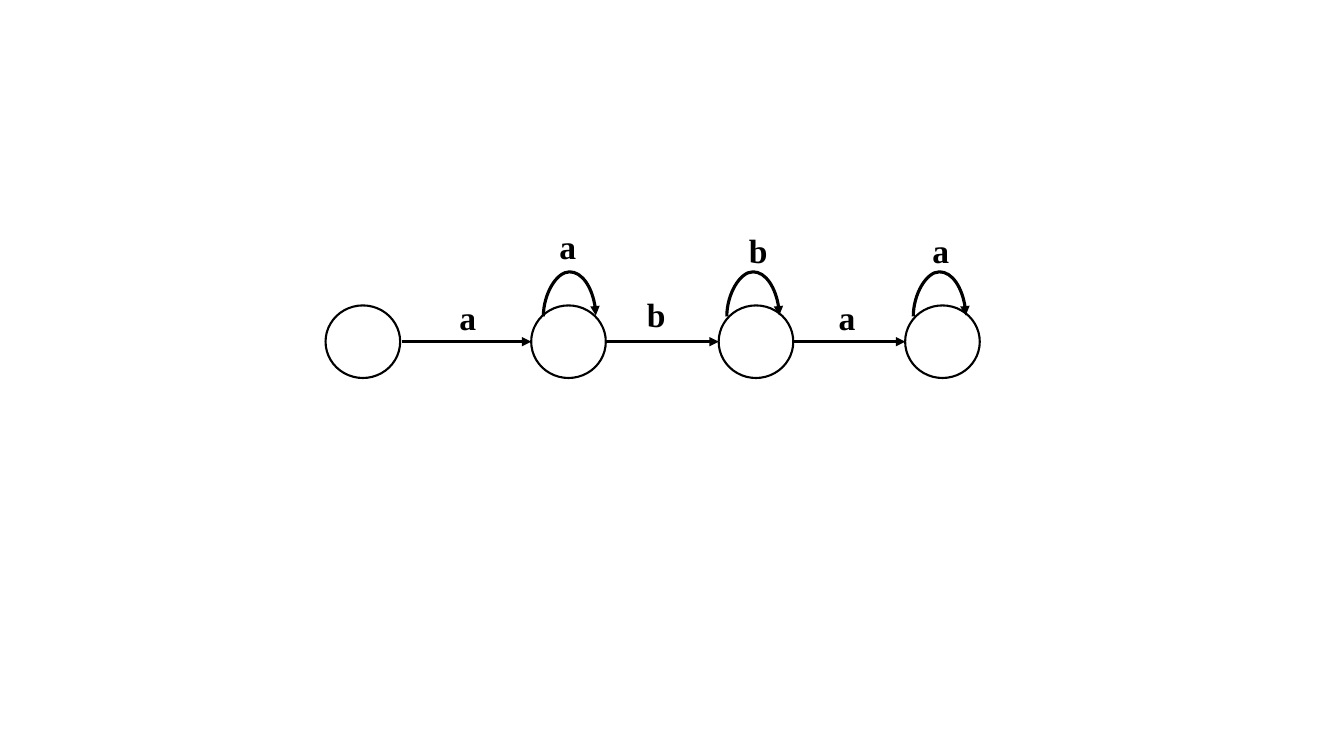
from dataclasses import dataclass

from lxml import etree
from pptx import Presentation
from pptx import util as u
from pptx.dml.color import RGBColor
from pptx.enum import shapes, text
from pptx.oxml import ns

# Grid: square cells of a tenth of an inch
CELL = u.Inches(0.1)
COLUMNS, ROWS = 133.33, 75
STATE_WIDTH, STATE_HEIGHT, STATE_TOP = 7.4, 7.2, 30.3
AXIS = 33.9
LOOP_SPAN, LOOP_RISE, LOOP_BASE = 5.2, 4.5, 31.35
LABEL_WIDTH, LABEL_HEIGHT = 5.9, 5
INK = "000000"


@dataclass(frozen=True)
class Label:
    letter: str
    column: float
    row: float


@dataclass(frozen=True)
class Loop:
    column: float
    label: Label


@dataclass(frozen=True)
class Transition:
    start: float
    end: float
    label: Label


STATES = [32.3, 52.7, 71.3, 89.8]
TRANSITIONS = [
    Transition(39.9, STATES[1], Label("a", 44.6, 29)),
    Transition(STATES[1] + STATE_WIDTH, STATES[2], Label("b", 63.2, 28.7)),
    Transition(STATES[2] + STATE_WIDTH, STATES[3], Label("a", 82.2, 29)),
]
LOOPS = [
    Loop(53.9, Label("a", 54.5, 21.9)),
    Loop(72.1, Label("b", 73.3, 22.3)),
    Loop(90.6, Label("a", 91.5, 22.3)),
]


def cells(count: float) -> int:
    return round(count * CELL)


def color(value: str) -> RGBColor:
    return RGBColor.from_string(value)


def add_state(slide, column: float) -> None:
    state = slide.shapes.add_shape(
        shapes.MSO_SHAPE.OVAL, cells(column), cells(STATE_TOP),
        cells(STATE_WIDTH), cells(STATE_HEIGHT))
    state.shadow.inherit = False
    state.fill.background()
    state.line.color.rgb = color(INK)
    state.line.width = u.Pt(1.5)


def add_arrow(slide, kind, begin: tuple, end: tuple):
    arrow = slide.shapes.add_connector(kind, *map(cells, begin + end))
    arrow.line.color.rgb = color(INK)
    arrow.line.width = u.Pt(2.25)
    properties = arrow._element.spPr
    line = properties.find(ns.qn("a:ln"))
    etree.SubElement(line, ns.qn("a:tailEnd"), type="triangle")
    etree.SubElement(properties, ns.qn("a:effectLst"))
    return arrow


def add_loop(slide, loop: Loop) -> None:
    # A thin upright connector, turned by 90 degrees and bowed upwards
    thickness = 0.1
    middle = loop.column + LOOP_SPAN / 2
    arrow = add_arrow(
        slide, shapes.MSO_CONNECTOR.CURVE,
        (middle + thickness / 2, LOOP_BASE + LOOP_SPAN / 2),
        (middle - thickness / 2, LOOP_BASE - LOOP_SPAN / 2))
    properties = arrow._element.spPr
    properties.find(ns.qn("a:xfrm")).set("rot", str(90 * 60000))
    geometry = properties.find(ns.qn("a:prstGeom"))
    adjustments = geometry.find(ns.qn("a:avLst"))
    if adjustments is None:
        adjustments = etree.SubElement(geometry, ns.qn("a:avLst"))
    bow = round(LOOP_RISE / thickness * 100000)
    etree.SubElement(adjustments, ns.qn("a:gd"), name="adj1", fmla=f"val {bow}")


def add_label(slide, label: Label) -> None:
    box = slide.shapes.add_textbox(
        cells(label.column), cells(label.row),
        cells(LABEL_WIDTH), cells(LABEL_HEIGHT))
    frame = box.text_frame
    frame.word_wrap = True
    frame.auto_size = text.MSO_AUTO_SIZE.SHAPE_TO_FIT_TEXT
    run = frame.paragraphs[0].add_run()
    run.text = label.letter
    run.font.name = "Times New Roman"
    run.font.size = u.Pt(24)
    run.font.bold = True
    run.font.color.rgb = color(INK)


def main() -> None:
    presentation = Presentation()
    presentation.slide_width = cells(COLUMNS)
    presentation.slide_height = cells(ROWS)
    slide = presentation.slides.add_slide(presentation.slide_layouts[6])

    # States
    for column in STATES:
        add_state(slide, column)

    # Transitions between states
    for transition in TRANSITIONS:
        add_arrow(slide, shapes.MSO_CONNECTOR.STRAIGHT,
                  (transition.start, AXIS), (transition.end, AXIS))
        add_label(slide, transition.label)

    # Loops on a state
    for loop in LOOPS:
        add_loop(slide, loop)
        add_label(slide, loop.label)

    presentation.save("out.pptx")


if __name__ == "__main__":
    main()
